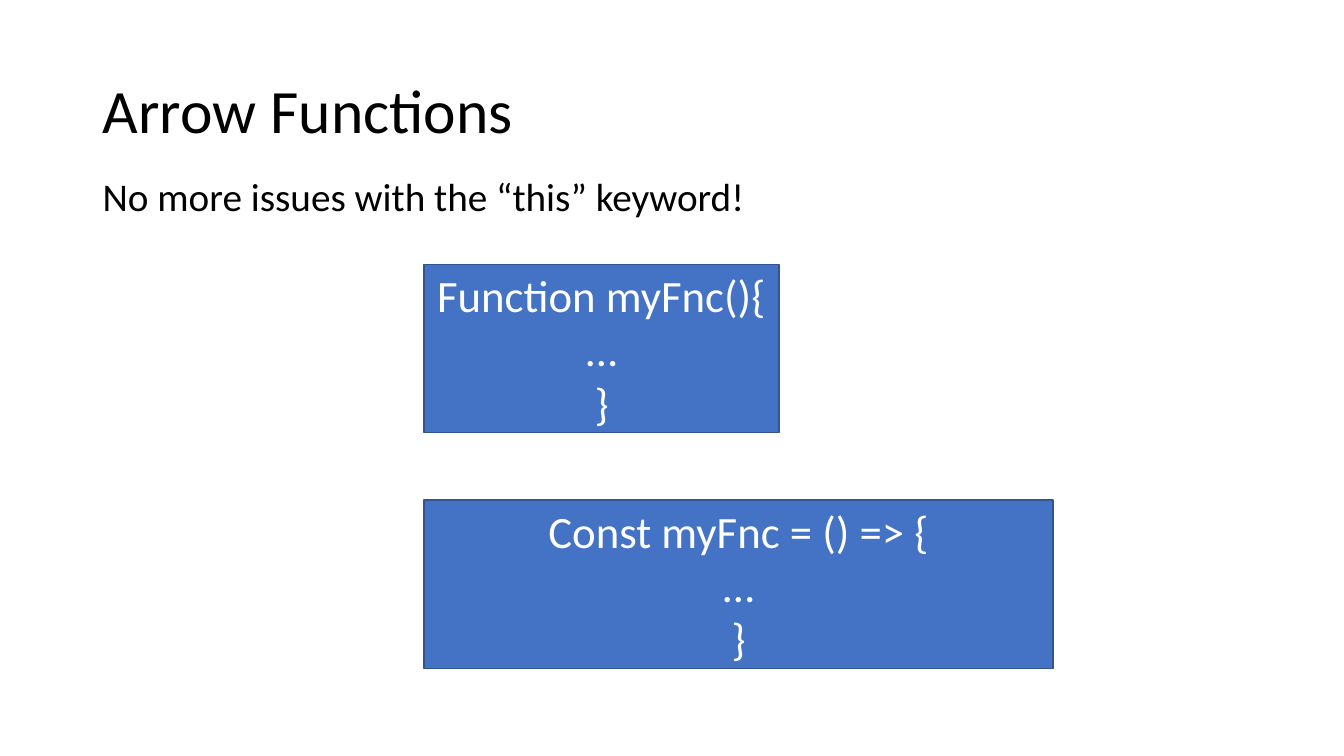
from pptx import Presentation
from pptx.dml.color import RGBColor
from pptx.enum.shapes import MSO_SHAPE
from pptx.enum.text import MSO_ANCHOR, PP_ALIGN
from pptx.util import Cm, Pt

FONT = "Calibri"
LEFT = 2.34
CODE_LEFT = 10.69
CODE_HEIGHT = 4.24


def color(hex_value):
    return RGBColor.from_string(hex_value)


def write(frame, lines, size, hex_value, align, anchor, spacing=1.0):
    """Fill a text frame with one paragraph per line."""
    frame.word_wrap = True
    frame.vertical_anchor = anchor
    for index, line in enumerate(lines):
        paragraph = frame.add_paragraph() if index else frame.paragraphs[0]
        paragraph.alignment = align
        paragraph.line_spacing = spacing
        run = paragraph.add_run()
        run.text = line
        run.font.name = FONT
        run.font.size = Pt(size)
        run.font.color.rgb = color(hex_value)


def add_text(slide, text, top, width, height, size, anchor):
    box = slide.shapes.add_textbox(Cm(LEFT), Cm(top), Cm(width), Cm(height))
    write(box.text_frame, [text], size, "000000", PP_ALIGN.LEFT, anchor, 0.9)


def add_code_box(slide, opening, top, width):
    """Draw a blue box holding a function outline."""
    box = slide.shapes.add_shape(MSO_SHAPE.RECTANGLE, Cm(CODE_LEFT), Cm(top),
                                 Cm(width), Cm(CODE_HEIGHT))
    box.shadow.inherit = False
    box.fill.solid()
    box.fill.fore_color.rgb = color("4472C4")
    box.line.color.rgb = color("325491")
    box.line.width = Pt(1)
    write(box.text_frame, [opening, "…", "}"], 32, "FFFFFF",
          PP_ALIGN.CENTER, MSO_ANCHOR.MIDDLE)


def main():
    deck = Presentation()
    deck.slide_width, deck.slide_height = Cm(33.87), Cm(19.05)
    slide = deck.slides.add_slide(deck.slide_layouts[6])

    # Title and statement
    add_text(slide, "Arrow Functions", 1.02, 29.21, 3.68, 44, MSO_ANCHOR.MIDDLE)
    add_text(slide, "No more issues with the “this” keyword!",
             4.34, 21.54, 1.65, 28, MSO_ANCHOR.TOP)

    # Classic function above its arrow form
    add_code_box(slide, "Function myFnc(){", 6.66, 8.94)
    add_code_box(slide, "Const myFnc = () => {", 12.6, 15.85)

    deck.save("out.pptx")


main()
